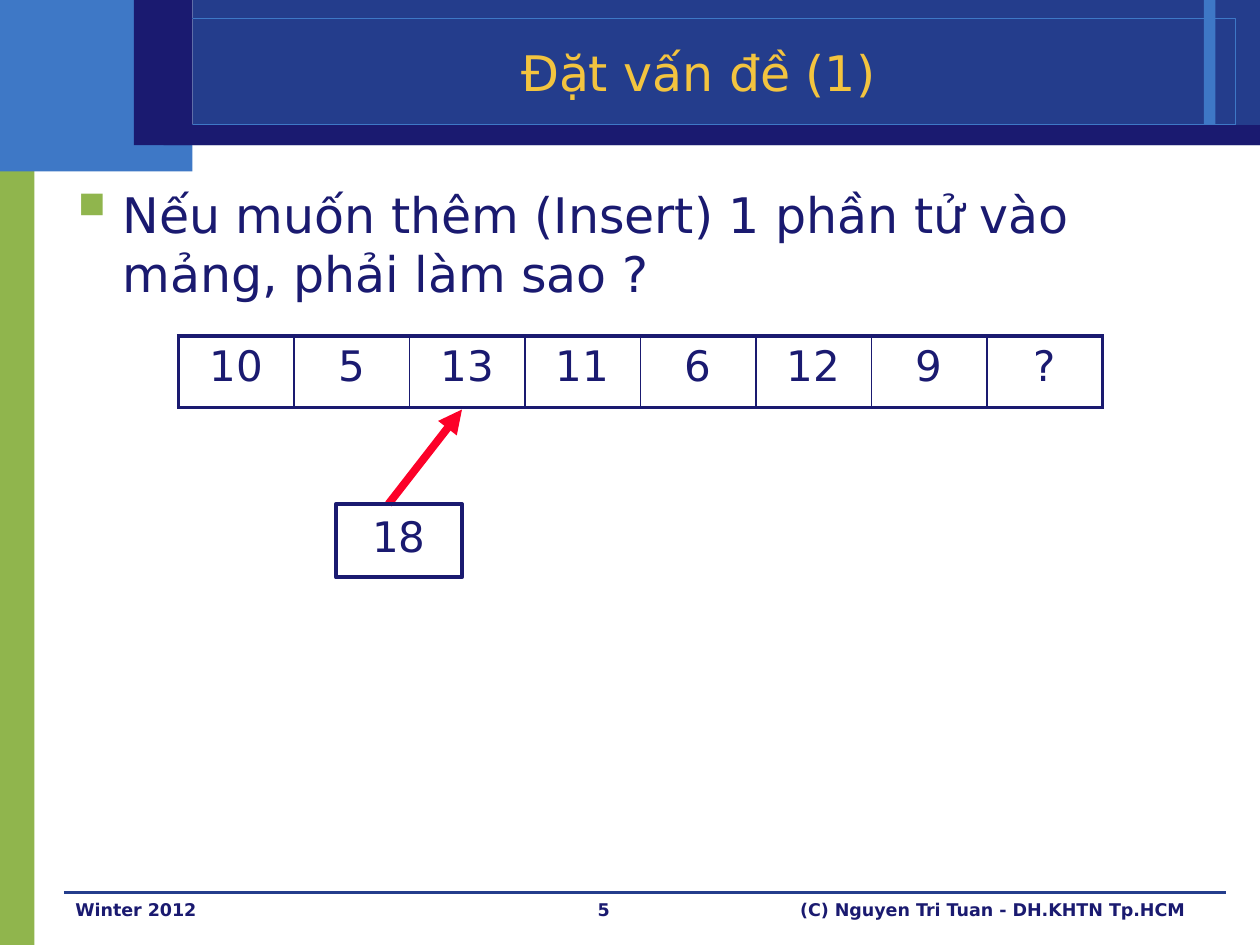
from pptx import Presentation
from pptx.dml.color import RGBColor as RGB
from pptx.enum.shapes import MSO_CONNECTOR as Conn, MSO_SHAPE as Geo
from pptx.enum.text import MSO_ANCHOR as Anchor, PP_ALIGN as Align
from pptx.oxml.ns import qn
from pptx.util import Pt
from lxml.etree import SubElement as Sub

FONT = "DejaVu Sans"
HEX = {"navy": "1A1A70", "blue": "243D8C", "sky": "3E78C6",
       "green": "90B54D", "gold": "F3C43F", "red": "FC0128"}


def color(name):
    return RGB.from_string(HEX[name])


def rect(slide, box, fill=None, line=None, width=0):
    shape = slide.shapes.add_shape(Geo.RECTANGLE, *map(Pt, box))
    shape.shadow.inherit = False
    if fill:
        shape.fill.solid()
        shape.fill.fore_color.rgb = color(fill)
    else:
        shape.fill.background()
    if line:
        shape.line.color.rgb = color(line)
        shape.line.width = Pt(width)
    else:
        shape.line.fill.background()
    return shape


def rule(slide, start, end, tone, width):
    line = slide.shapes.add_connector(Conn.STRAIGHT, *map(Pt, start + end))
    line.line.color.rgb = color(tone)
    line.line.width = Pt(width)
    Sub(line._element.spPr, qn("a:effectLst"))
    return line


def write(frame, words, size, tone="navy", align=Align.LEFT,
          anchor=Anchor.TOP, bold=False):
    frame.text = words
    frame.word_wrap = True
    frame.vertical_anchor = anchor
    para = frame.paragraphs[0]
    para.alignment = align
    font = para.runs[0].font
    font.name, font.size, font.bold = FONT, Pt(size), bold
    font.color.rgb = color(tone)
    return para


def label(slide, box, words, size, **style):
    text = slide.shapes.add_textbox(*map(Pt, box))
    return write(text.text_frame, words, size, **style)


# Green side bar, blue header blocks and title
def header(slide, box, title):
    x, y, w, h = box
    edge = x + 110
    rect(slide, (x, y + 77, 19.7, 463), "green")
    rect(slide, (x, y, edge, 98), "sky")
    rect(slide, (edge, y, w - edge, h), "blue")
    rect(slide, (x + 688, y, 6.5, 72), "sky")
    rect(slide, (x + 14.5, y + 10.5, 691.5, 61), line="sky")
    rect(slide, (x + 93.5, y + 71.5, w - 93.5, h - 71.5), "navy")
    rect(slide, (x + 76.5, y, edge - 76.5, h), "navy")
    label(slide, (108, y + 19, 582, 44.5), title, 28, tone="gold",
          align=Align.CENTER, anchor=Anchor.MIDDLE)


# Question with a square bullet
def body(slide, box, words):
    para = label(slide, box, words, 28)
    props = para._p.get_or_add_pPr()
    props.set("marL", str(Pt(27)))
    props.set("indent", str(-Pt(27)))
    Sub(Sub(props, qn("a:buClr")), qn("a:srgbClr"), val=HEX["green"])
    Sub(props, qn("a:buSzPct"), val="150000")
    Sub(props, qn("a:buFont"), typeface="Wingdings", charset="2")
    Sub(props, qn("a:buChar"), char="§")  # Wingdings small square


def border(cell, side, width):
    line = Sub(cell._tc.get_or_add_tcPr(), qn("a:" + side), w=str(Pt(width)))
    Sub(Sub(line, qn("a:solidFill")), qn("a:srgbClr"), val=HEX["navy"])


# Array drawn as a one-row table
def array(slide, box, values):
    count = len(values)
    frame = slide.shapes.add_table(1, count, *map(Pt, box))
    table = frame.table
    table.first_row = table.horz_banding = False
    for i, value in enumerate(values):
        table.columns[i].width = Pt(box[2] / count)
        cell = table.cell(0, i)
        write(cell.text_frame, value, 24, align=Align.CENTER)
        border(cell, "lnL", 2.25 if i == 0 else 1)
        border(cell, "lnR", 2.25 if i == count - 1 else 1)
        border(cell, "lnT", 2.25)
        border(cell, "lnB", 2.25)
        cell.fill.background()


# New element with an arrow to its place in the array
def insert(slide, box, value, tip):
    x, y, w, h = box
    arrow = rule(slide, (x + 30, y), tip, "red", 4.5)
    Sub(arrow.line._get_or_add_ln(), qn("a:tailEnd"), type="triangle")
    item = rect(slide, box, line="navy", width=2.25)
    write(item.text_frame, value, 24, align=Align.CENTER)


# Rule with date, page number and author
def footer(slide, box, date, page, author):
    x, y, w, h = box
    rule(slide, (x + 0.5, y), (x + 664.5, y), "blue", 0)
    parts = ((0, 168, date, Align.LEFT), (252, 114, page, Align.CENTER),
             (390, 258, author, Align.RIGHT))
    for left, wide, words, align in parts:
        label(slide, (x + left, y, wide, h), words, 10, align=align, bold=True)


def main():
    deck = Presentation()
    deck.slide_width, deck.slide_height = Pt(720), Pt(540)
    slide = deck.slides.add_slide(deck.slide_layouts[6])
    header(slide, (0, 0, 720, 83), "Đặt vấn đề (1)")
    footer(slide, (36, 510, 684, 30), "Winter 2012", "5",
           "(C) Nguyen Tri Tuan - DH.KHTN Tp.HCM")
    body(slide, (36, 102, 660, 402),
         "Nếu muốn thêm (Insert) 1 phần tử vào mảng, phải làm sao ?")
    array(slide, (102, 192, 528, 41),
          ["10", "5", "13", "11", "6", "12", "9", "?"])
    insert(slide, (192, 288, 72, 42), "18", (264, 234))
    deck.save("out.pptx")


if __name__ == "__main__":
    main()
